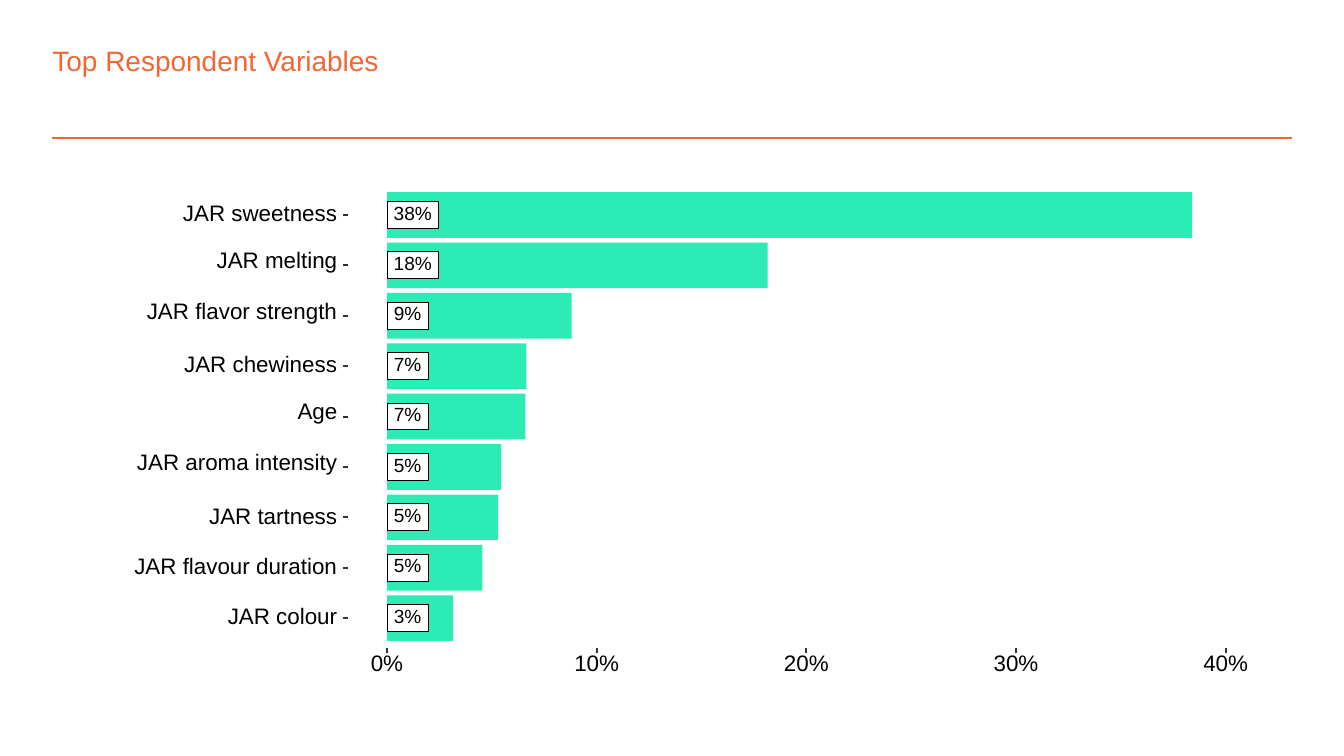
from lxml.etree import SubElement
from pptx import Presentation
from pptx.dml.color import RGBColor
from pptx.enum.shapes import MSO_CONNECTOR, MSO_SHAPE
from pptx.enum.text import MSO_ANCHOR, PP_ALIGN
from pptx.oxml.ns import qn
from pptx.util import Inches, Pt

rgb = RGBColor.from_string
ORANGE, GREEN, WHITE, BLACK, GREY = "F36633", "2DEBB5", "FFFFFF", "000000", "333333"

# label, share in percent, label width
VARIABLES = [
    ("JAR sweetness", 38.4, 1.17),
    ("JAR melting", 18.15, 0.92),
    ("JAR flavor strength", 8.8, 1.44),
    ("JAR chewiness", 6.65, 1.16),
    ("Age", 6.6, 0.32),
    ("JAR aroma intensity", 5.45, 1.52),
    ("JAR tartness", 5.3, 0.98),
    ("JAR flavour duration", 4.55, 1.53),
    ("JAR colour", 3.15, 0.84),
]
AXIS_X, PERCENT = 2.88, 0.156
FIRST_TOP, ROW, BAR_H = 1.43, 0.375, 0.34
LABEL_RIGHT, TICK = 2.51, 0.04
AXIS_Y = 4.82

prs = Presentation()
prs.slide_width = Inches(10)
prs.slide_height = prs.slide_width * 9 // 16
slide = prs.slides.add_slide(prs.slide_layouts[5])


def add_block(shapes, box, fill=None, line=None, weight=0.53, text=None, size=12,
              align=PP_ALIGN.LEFT):
    """Add a filled rectangle, or a text box when text is given."""
    box = [Inches(v) for v in box]
    if text is None:
        sp = shapes.add_shape(MSO_SHAPE.RECTANGLE, *box)
        sp.shadow.inherit = False
        sp.fill.solid()
        sp.fill.fore_color.rgb = rgb(fill)
        if line:
            sp.line.color.rgb = rgb(line)
            sp.line.width = Pt(weight)
        else:
            sp.line.fill.background()
        return
    tf = shapes.add_textbox(*box).text_frame
    tf.margin_left = tf.margin_right = tf.margin_top = tf.margin_bottom = 0
    tf.word_wrap = False
    tf.vertical_anchor = MSO_ANCHOR.MIDDLE
    p = tf.paragraphs[0]
    p.text, p.alignment, p.line_spacing = text, align, Pt(size)
    p.font.name, p.font.size, p.font.color.rgb = "Arial", Pt(size), rgb(BLACK)


def add_line(shapes, ends, color, weight):
    """Add a straight line without a shadow."""
    cxn = shapes.add_connector(MSO_CONNECTOR.STRAIGHT, *[Inches(v) for v in ends])
    cxn.line.color.rgb = rgb(color)
    cxn.line.width = Pt(weight)
    SubElement(cxn._element.spPr, qn("a:effectLst"))


# Title and rule
title = slide.shapes.title
title.left, title.top, title.width, title.height = [
    Inches(v) for v in (0.39, 0.32, 8.29, 0.25)]
tf = title.text_frame
tf.margin_left = tf.margin_right = tf.margin_top = tf.margin_bottom = 0
tf.vertical_anchor = MSO_ANCHOR.TOP
p = tf.paragraphs[0]
p.text, p.alignment = "Top Respondent Variables", PP_ALIGN.LEFT
p.font.name, p.font.size, p.font.color.rgb = "Arial", Pt(15), rgb(ORANGE)
add_line(slide.shapes, (0.39, 1.03, 9.61, 1.03), ORANGE, 1)

# Plot panel
plot = slide.shapes.add_group_shape().shapes
add_block(plot, (0.75, 1.3, 8.5, 4), WHITE, WHITE, 1.07)

# One row per variable: bar, boxed value, label, tick
for i, (label, share, label_w) in enumerate(VARIABLES):
    top = FIRST_TOP + i * ROW
    middle = top + BAR_H / 2
    value = f"{share:.0f}%"
    value_w = 0.08 * len(value) + 0.06
    box_w = 0.07 * len(value) + 0.17
    add_block(plot, (AXIS_X, top, share * PERCENT, BAR_H), GREEN)
    add_block(plot, (AXIS_X, top + 0.07, box_w, 0.2), WHITE, BLACK)
    add_block(plot, (AXIS_X + 0.05, top + 0.11, value_w, 0.11), text=value, size=10.2)
    # Labels with descenders are taller and sit higher
    label_h, rise = (0.15, 0.1) if set(label) & set("gpy") else (0.12, 0.06)
    add_block(plot, (LABEL_RIGHT - label_w, middle - rise, label_w, label_h),
              text=label, align=PP_ALIGN.RIGHT)
    add_line(plot, (2.55, middle, 2.55 + TICK, middle), GREY, 1.07)

# Percentage axis
for percent in range(0, 50, 10):
    x = AXIS_X + percent * PERCENT
    text_w = 0.36 if percent else 0.27
    add_line(plot, (x, AXIS_Y, x, AXIS_Y + TICK), GREY, 1.07)
    add_block(plot, (x - text_w / 2, AXIS_Y + 0.06, text_w, 0.13),
              text=f"{percent}%", align=PP_ALIGN.CENTER)

prs.save("out.pptx")
